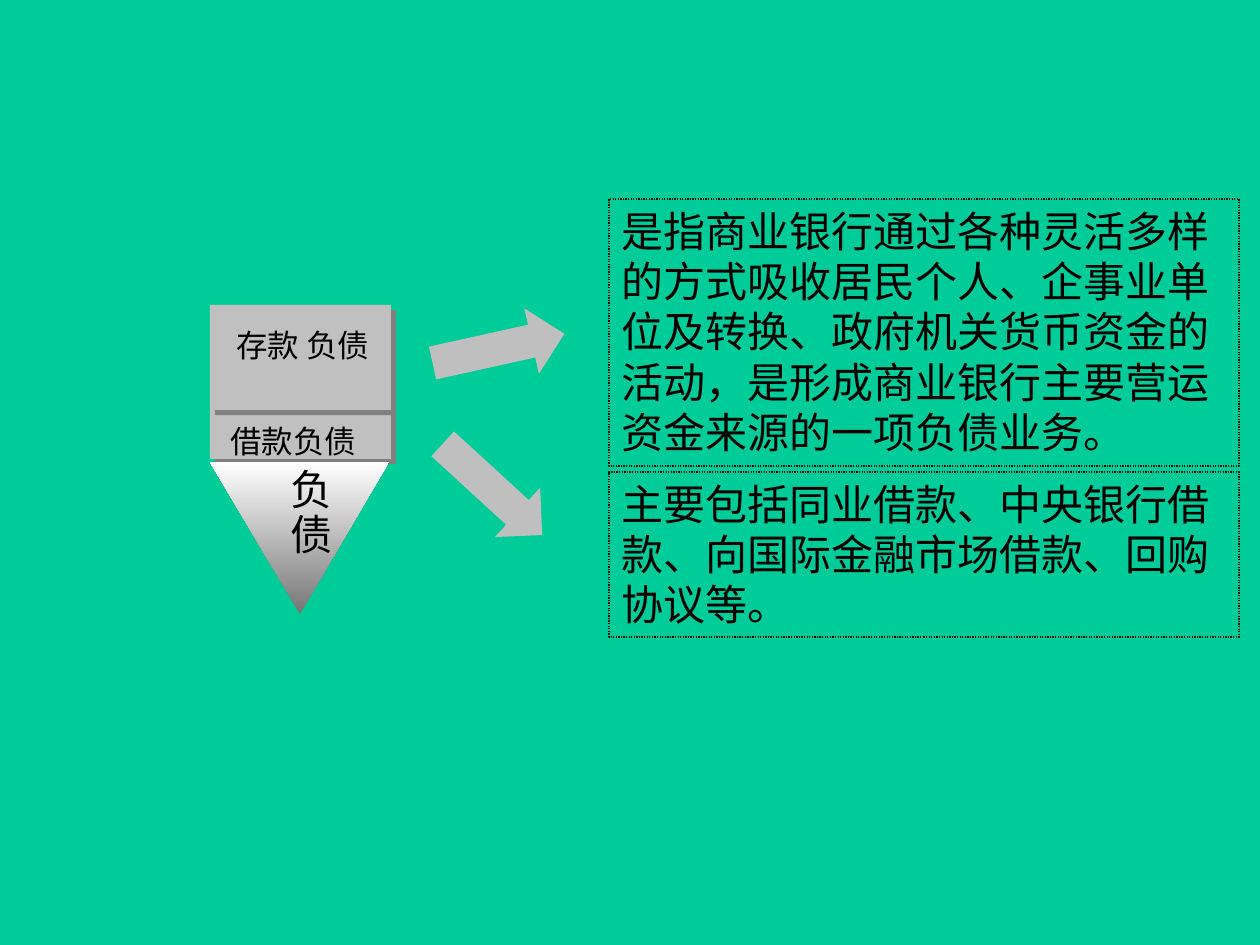
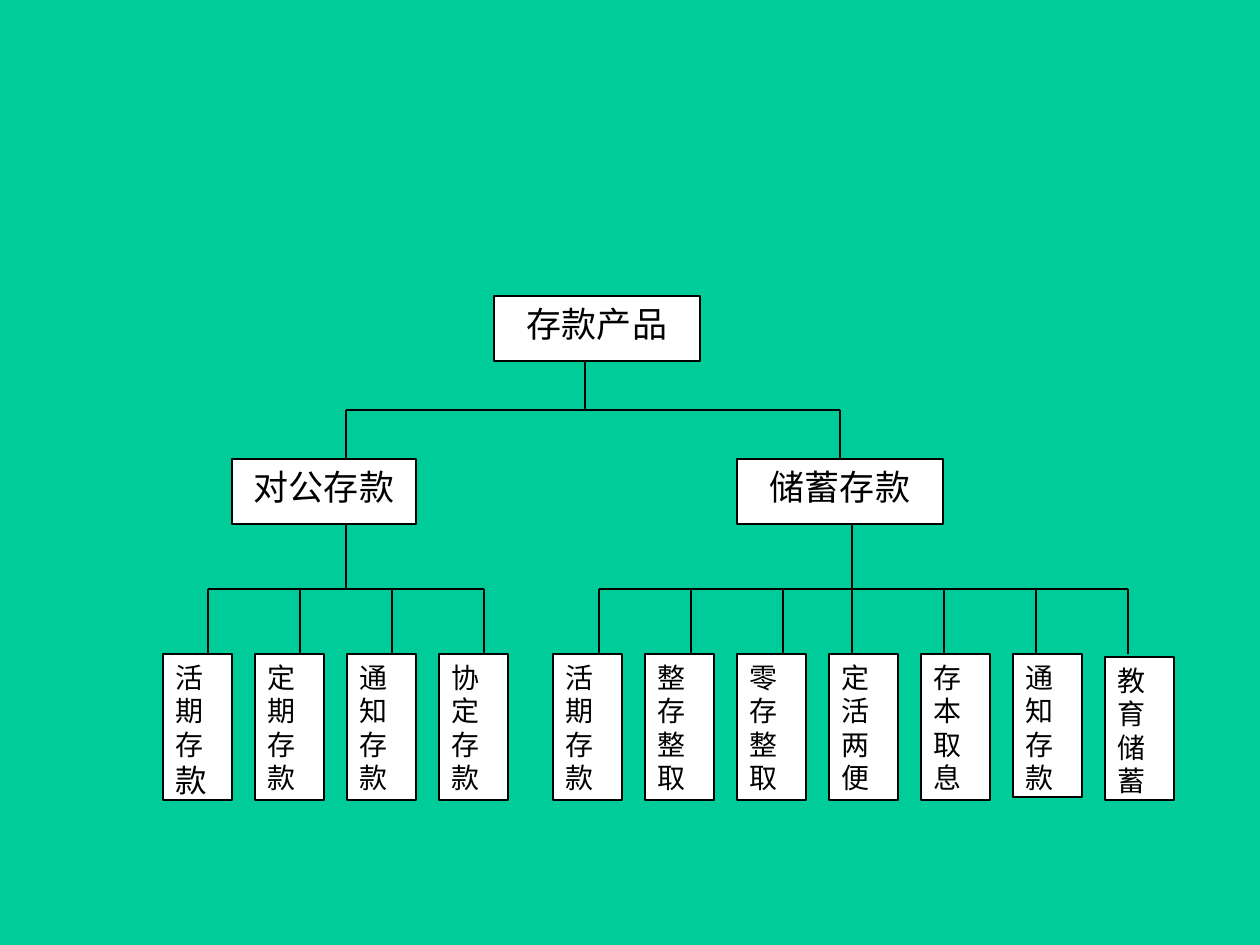
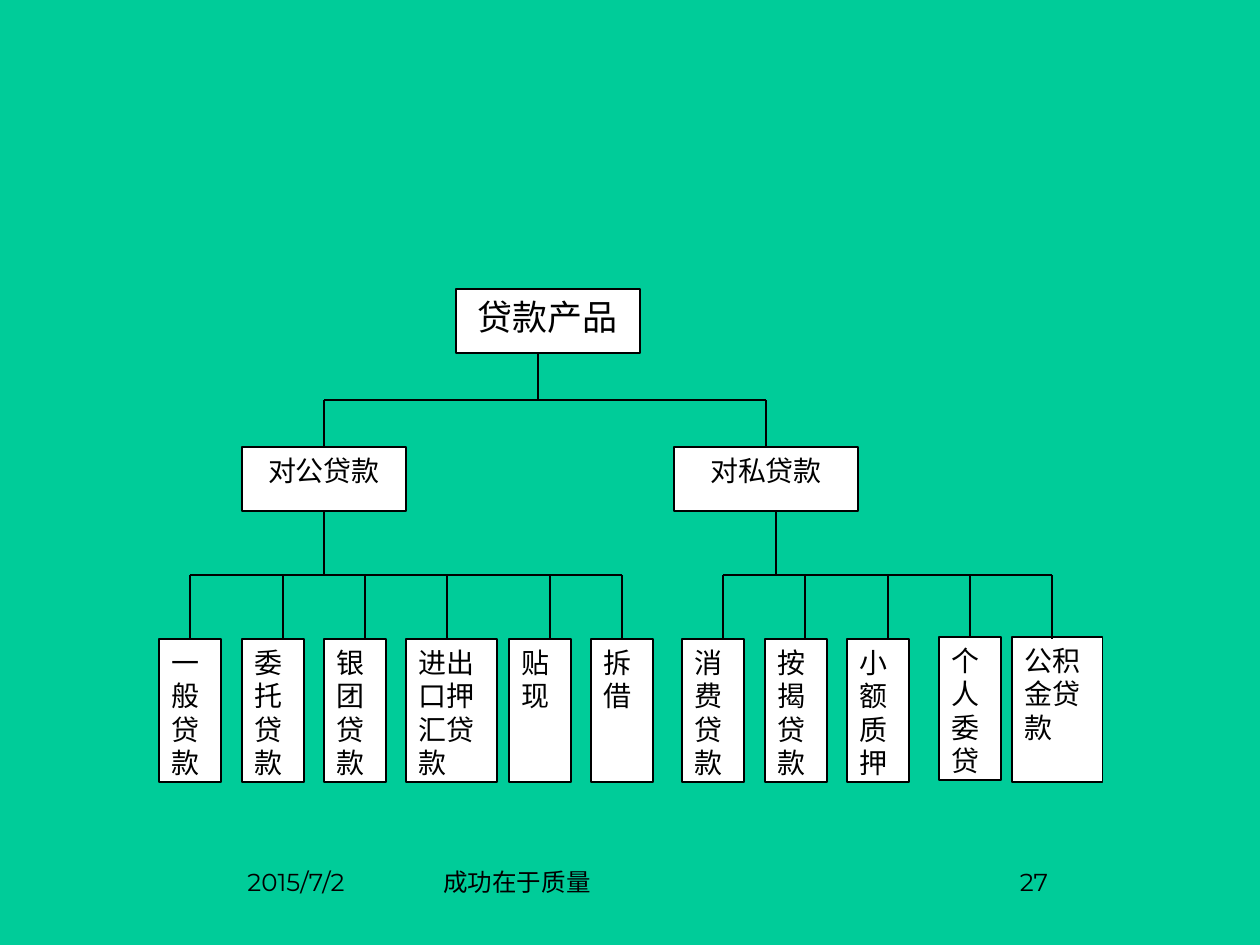
from lxml import etree
from pptx import Presentation
from pptx.dml.color import RGBColor
from pptx.enum.dml import MSO_LINE
from pptx.enum.shapes import MSO_CONNECTOR, MSO_SHAPE
from pptx.enum.text import MSO_ANCHOR, PP_ALIGN
from pptx.oxml.ns import qn
from pptx.util import Pt

PX = 7257  # EMU per px, 126 px to the inch
GREEN = RGBColor(0x00, 0xCC, 0x99)
WHITE = RGBColor(0xFF, 0xFF, 0xFF)
BLACK = RGBColor(0x00, 0x00, 0x00)
SILVER = RGBColor(0xC0, 0xC0, 0xC0)
ARROW_GREY = RGBColor(0xBF, 0xBF, 0xBF)
DARK_GREY = RGBColor(0x76, 0x76, 0x76)
SERIF, SANS = "Times New Roman", "Montserrat"
RECT, ARROW = MSO_SHAPE.RECTANGLE, MSO_SHAPE.RIGHT_ARROW
STRAIGHT, DOTTED = MSO_CONNECTOR.STRAIGHT, MSO_LINE.ROUND_DOT
LEFT, CENTER, RIGHT = PP_ALIGN.LEFT, PP_ALIGN.CENTER, PP_ALIGN.RIGHT
TOP = MSO_ANCHOR.TOP
BOX_TOP, BOX_BOTTOM = 0, 2


def add_box(slide, frame, text="", size=16, align=LEFT, fill=None, line=None,
            font=SERIF, kind=RECT):
    """Add a shape, or a text box when it has neither fill nor line."""
    x, y, w, h = (v * PX for v in frame)
    if fill is None and line is None:
        sp = slide.shapes.add_textbox(x, y, w, h)
    else:
        sp = slide.shapes.add_shape(kind, x, y, w, h)
        sp.shadow.inherit = False
        if fill is None:
            sp.fill.background()
        else:
            sp.fill.solid()
            sp.fill.fore_color.rgb = fill
        if line is None:
            sp.line.fill.background()
        else:
            sp.line.color.rgb = line
            sp.line.width = Pt(0.75)
    if text:
        tf = sp.text_frame
        tf.word_wrap = True
        tf.vertical_anchor = TOP
        tf.text = text
        p = tf.paragraphs[0]
        p.alignment = align
        p.font.size = Pt(size)
        for r in p.runs:
            r.font.size = Pt(size)
            r.font.name = font
            r.font.color.rgb = BLACK
    return sp


def add_line(slide, x1, y1, x2, y2, box=None, site=BOX_TOP):
    """Draw a line, joined to the box where it ends at the middle of a side."""
    cxn = slide.shapes.add_connector(STRAIGHT, x1 * PX, y1 * PX, x2 * PX, y2 * PX)
    cxn.line.color.rgb = BLACK
    cxn.line.width = Pt(0.75)
    etree.SubElement(cxn._element.spPr, qn("a:effectLst"))
    if box is not None and x2 * PX == box.left + box.width // 2:
        cxn.end_connect(box, site)


prs = Presentation()
prs.slide_width, prs.slide_height = 1260 * PX, 945 * PX
background = prs.slide_master.background.fill
background.solid()
background.fore_color.rgb = GREEN
blank = prs.slide_layouts[6]

# Slide 1: kinds of liabilities
s = prs.slides.add_slide(blank)
for y, h in ((410, 49), (305, 105)):
    sp = add_box(s, (210, y, 181, h), fill=SILVER)
    effects = sp._element.spPr.find(qn("a:effectLst"))
    shadow = etree.SubElement(effects, qn("a:outerShdw"), dist="53340",
                              dir="2700000", algn="ctr", rotWithShape="0")
    etree.SubElement(shadow, qn("a:srgbClr"), val="808080")

builder = s.shapes.build_freeform(210, 462, scale=PX)
builder.add_line_segments([(389, 462), (300, 614)], close=True)
funnel = builder.convert_to_shape()
funnel.shadow.inherit = False
funnel.line.fill.background()
funnel.fill.gradient()
funnel.fill.gradient_angle = 90
for stop, color in zip(funnel.fill.gradient_stops, (DARK_GREY, WHITE)):
    stop.color.rgb = color

for text, size, frame in (
    ("存款 负债", 18, (224, 320, 170, 50)),
    ("借款负债", 18, (218, 416, 170, 46)),
    ("负债", 24, (278, 463, 67, 100)),
):
    label = add_box(s, frame, text, size)
label.text_frame.paragraphs[0].line_spacing = 0.9

for y, h, text in (
    (472, 165, "主要包括同业借款、中央银行借款、向国际金融市场借款、回购协议等。"),
    (199, 267, "是指商业银行通过各种灵活多样的方式吸收居民个人、企事业单位及转换、"
               "政府机关货币资金的活动，是形成商业银行主要营运资金来源的一项负债业务。"),
):
    note = add_box(s, (609, y, 630, h), text, 24, line=BLACK)
    note.line.dash_style = DOTTED

for x, y, angle in ((431, 315, 347.5), (425, 456, 42.5)):
    arrow = add_box(s, (x, y, 135, 67), fill=ARROW_GREY, kind=ARROW)
    arrow.rotation = angle

# Slides 2 and 3: product trees
# root: text, left, width, stem x
# branch: text, left, width, x of line in, x of line out, leaves
# leaf: text, left, width, x of line in
deposit_tree = {
    "root": ("存款产品", 494, 206, 585),
    "tops": (296, 459, 654), "buses": (410, 589),
    "heights": (65, 146), "branch_size": 20,
    "branches": [
        ("对公存款", 232, 184, 346, 346,
         [(text, 163 + 92 * i, 69, 208 + 92 * i) for i, text in
          enumerate(("活期存款", "定期存款", "通知存款", "协定存款"))]),
        ("储蓄存款", 737, 206, 840, 852,
         [(text, 553 + 92 * i, 69, (599 if i < 3 else 576) + 92 * i) for i, text in
          enumerate(("活期存款", "整存整取", "零存整取", "定活两便",
                     "存本取息", "通知存款", "教育储蓄"))]),
    ],
}
loan_tree = {
    "root": ("贷款产品", 456, 184, 538),
    "tops": (289, 447, 639), "buses": (400, 575),
    "heights": (64, 143), "branch_size": 16,
    "branches": [
        ("对公贷款", 242, 164, 324, 324,
         [("一般贷款", 159, 62, 190), ("委托贷款", 242, 62, 283),
          ("银团贷款", 324, 62, 365), ("进出口押汇贷款", 406, 91, 447),
          ("贴现", 509, 62, 550), ("拆借", 591, 62, 622)]),
        ("对私贷款", 674, 184, 766, 776,
         [("消费贷款", 682, 62, 723), ("按揭贷款", 765, 62, 805),
          ("小额质押", 847, 62, 888), ("个人委贷", 939, 62, 970),
          ("公积金贷款", 1012, 91, 1052)]),
    ],
}
# Leaves off the common row, by left edge: change of top, change of height
shifted = {1013: (0, -3), 1105: (3, -3), 939: (-2, 0), 1012: (-2, 2)}
leaf_boxes = {}

for tree in (deposit_tree, loan_tree):
    s = prs.slides.add_slide(blank)
    root_top, branch_top, leaf_top = tree["tops"]
    root_bus, leaf_bus = tree["buses"]
    box_h, leaf_h = tree["heights"]

    text, x, w, stem = tree["root"]
    root = add_box(s, (x, root_top, w, box_h), text, 20, CENTER, WHITE, BLACK)
    add_line(s, stem, root_bus, stem, root_top + box_h, root, BOX_BOTTOM)
    ends = [branch[3] for branch in tree["branches"]]
    add_line(s, ends[0], root_bus, ends[-1], root_bus)

    for text, x, w, line_in, line_out, leaves in tree["branches"]:
        branch = add_box(s, (x, branch_top, w, box_h), text, tree["branch_size"],
                         CENTER, WHITE, BLACK)
        add_line(s, line_in, root_bus, line_in, branch_top, branch)
        add_line(s, line_out, leaf_bus, line_out, branch_top + box_h, branch, BOX_BOTTOM)
        add_line(s, leaves[0][3], leaf_bus, leaves[-1][3], leaf_bus)
        for leaf_text, leaf_x, leaf_w, drop in leaves:
            dy, dh = shifted.get(leaf_x, (0, 0))
            leaf = add_box(s, (leaf_x, leaf_top + dy, leaf_w, leaf_h + dh), leaf_text,
                           fill=WHITE, line=BLACK)
            add_line(s, drop, leaf_bus, drop, leaf_top, leaf)
            leaf_boxes[leaf_x] = leaf

# The last character of the first deposit leaf is larger
p = leaf_boxes[163].text_frame.paragraphs[0]
p.runs[0].text = "活期存"
r = p.add_run()
r.text = "款"
r.font.size = Pt(18)
r.font.name = SERIF
r.font.color.rgb = BLACK

# Footer of the last slide
for text, x, w, align in (("2015/7/2", 95, 262, RIGHT),
                          ("成功在于质量", 431, 399, LEFT),
                          ("27", 903, 262, CENTER)):
    add_box(s, (x, 861, w, 63), text, 14, align, font=SANS)

prs.save("out.pptx")
